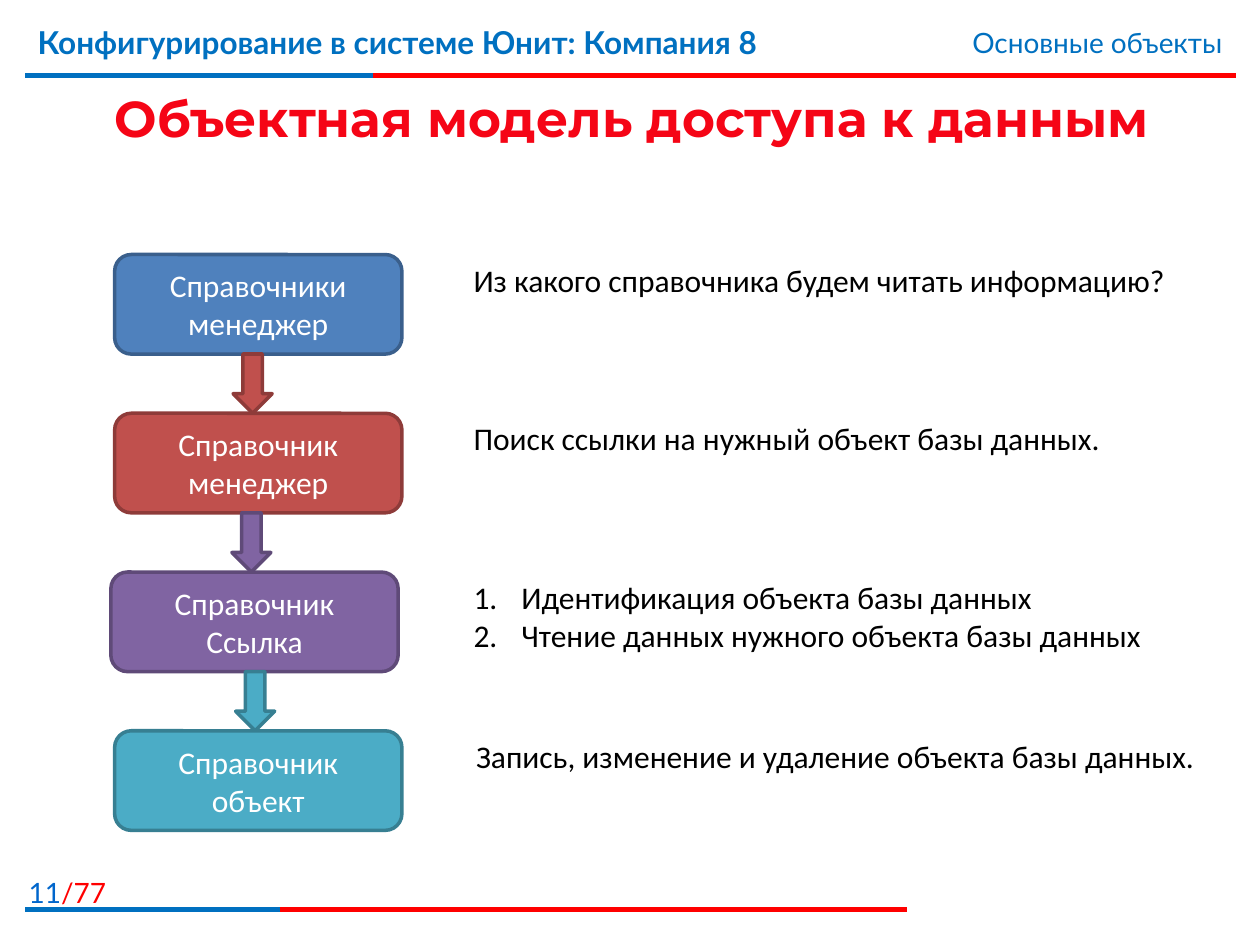
from pptx import Presentation
from pptx.dml.color import RGBColor
from pptx.enum import shapes, text
from pptx.oxml.ns import qn
from pptx.util import Inches, Pt
from lxml import etree

THEME = {
    "blue": "0070C0", "red": "FF0000", "page": "0066CC", "title": "F50516",
    "white": "FFFFFF", "black": "000000",
    "head": "Lato", "display": "Montserrat", "body": "Calibri",
    "small": 16, "normal": 18, "large": 28.8, "rule": 3, "outline": 2,
}

TITLE = "Объектная модель доступа к данным"
COURSE = "Конфигурирование в системе Юнит: Компания 8"
SECTION = "Основные объекты"
PAGE_NUMBER, PAGE_TOTAL = "11", "/77"

# label, fill, line, box left, left of the arrow leading in, note left, notes
STEPS = [
    ("Справочники менеджер", "4F81BD", "3A5F8C", 0.91, None, 3.66,
     ["Из какого справочника будем читать информацию?"]),
    ("Справочник менеджер", "C0504D", "8E3B39", 0.91, 1.85, 3.66,
     ["Поиск ссылки на нужный объект базы данных."]),
    ("Справочник Ссылка", "8064A2", "5F4A78", 0.88, 1.84, 3.66,
     ["Идентификация объекта базы данных",
      "Чтение данных нужного объекта базы данных"]),
    ("Справочник объект", "4BACC6", "377F92", 0.91, 1.87, 3.68,
     ["Запись, изменение и удаление объекта базы данных."]),
]
# y, left, colour change, right
RULES = [(0.6, 0.2, 2.96, 9.81), (7.22, 0.2, 2.22, 7.2)]

FIRST_TOP, PITCH = 2.02, 1.26
BOX_WIDTH, BOX_HEIGHT = 2.28, 0.79
ARROW_WIDTH, ARROW_HEIGHT = 0.31, 0.47
NOTE_WIDTH, LINE_HEIGHT, INDENT = 5.91, 0.31, 0.38


def color(name):
    return RGBColor.from_string(THEME.get(name, name))


def write(para, words, size="normal", face="body", ink="black", bold=False):
    span = para.add_run()
    span.text = words
    span.font.color.rgb = color(ink)
    values = {"size": Pt(THEME[size]), "name": THEME[face], "bold": bold}
    for key, value in values.items():
        setattr(span.font, key, value)


def add_box(page, left, top, width, height, align=text.PP_ALIGN.LEFT):
    """Add a wrapping text box and return its first paragraph."""
    box = page.shapes.add_textbox(*map(Inches, (left, top, width, height)))
    box.text_frame.word_wrap = True
    para = box.text_frame.paragraphs[0]
    para.alignment = align
    return para


def add_block(page, kind, place, fill, line):
    block = page.shapes.add_shape(kind, *map(Inches, place))
    block.shadow.inherit = False
    block.fill.solid()
    block.fill.fore_color.rgb = color(fill)
    block.line.color.rgb = color(line)
    block.line.width = Pt(THEME["outline"])
    return block


def add_rule(page, y, start, end, ink):
    rule = page.shapes.add_connector(
        shapes.MSO_CONNECTOR.STRAIGHT, *map(Inches, (start, y, end, y)))
    rule.line.color.rgb = color(ink)
    rule.line.width = Pt(THEME["rule"])
    etree.SubElement(rule.element.spPr, qn("a:effectLst"))


def number(para):
    properties = para._p.get_or_add_pPr()
    properties.set("marL", str(Inches(INDENT)))
    properties.set("indent", str(-Inches(INDENT)))
    etree.SubElement(properties, qn("a:buAutoNum"), type="arabicPeriod")


def add_frame(page):
    """Add the header, the footer and their rules."""
    for y, left, change, right in RULES:
        add_rule(page, y, left, right, "red")
        add_rule(page, y, left, change, "blue")
    right = text.PP_ALIGN.RIGHT
    footer = add_box(page, 0, 6.9, 0.94, 0.32, right)
    write(footer, PAGE_NUMBER, "small", "head", "page")
    write(footer, PAGE_TOTAL, "small", "head", "red")
    write(add_box(page, 0.2, 0.13, 7.4, 0.62), COURSE,
          "normal", "head", "blue", True)
    write(add_box(page, 5.94, 0.15, 3.86, 0.37, right), SECTION,
          "small", "head", "blue")


def add_title(page):
    title = page.shapes.title
    place = {"left": 0.21, "top": 0.63, "width": 9.61, "height": 0.6}
    for key, value in place.items():
        setattr(title, key, Inches(value))
    title.text_frame.vertical_anchor = text.MSO_ANCHOR.MIDDLE
    para = title.text_frame.paragraphs[0]
    para.alignment = text.PP_ALIGN.CENTER
    write(para, TITLE, "large", "display", "title", True)


def add_step(page, index, step):
    label, fill, line, left, arrow_left, note_left, notes = step
    top = FIRST_TOP + index * PITCH
    block = add_block(page, shapes.MSO_SHAPE.ROUNDED_RECTANGLE,
                      (left, top, BOX_WIDTH, BOX_HEIGHT), fill, line)
    block.text_frame.word_wrap = True
    block.text_frame.vertical_anchor = text.MSO_ANCHOR.MIDDLE
    para = block.text_frame.paragraphs[0]
    para.alignment = text.PP_ALIGN.CENTER
    write(para, label, ink="white")
    if arrow_left is not None:
        add_block(page, shapes.MSO_SHAPE.DOWN_ARROW,
                  (arrow_left, top - ARROW_HEIGHT, ARROW_WIDTH, ARROW_HEIGHT),
                  fill, line)

    first = add_box(page, note_left, top, NOTE_WIDTH,
                    0.09 + LINE_HEIGHT * len(notes))
    frame = first._parent
    for position, note in enumerate(notes):
        para = frame.add_paragraph() if position else first
        if len(notes) > 1:
            number(para)
        write(para, note)


def main():
    deck = Presentation()
    deck.slide_width, deck.slide_height = Inches(10), Inches(7.5)
    page = deck.slides.add_slide(deck.slide_layouts[5])
    add_frame(page)
    add_title(page)
    for index, step in enumerate(STEPS):
        add_step(page, index, step)
    deck.save("out.pptx")


if __name__ == "__main__":
    main()
